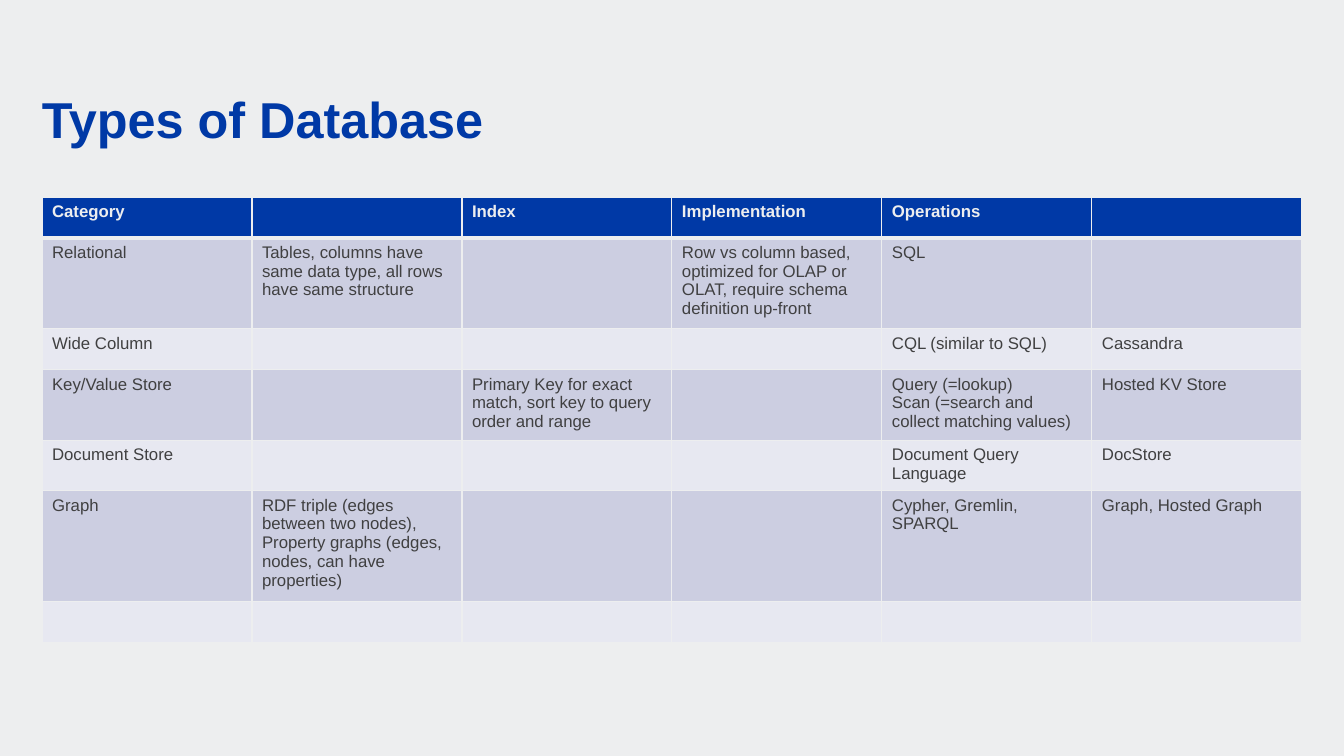
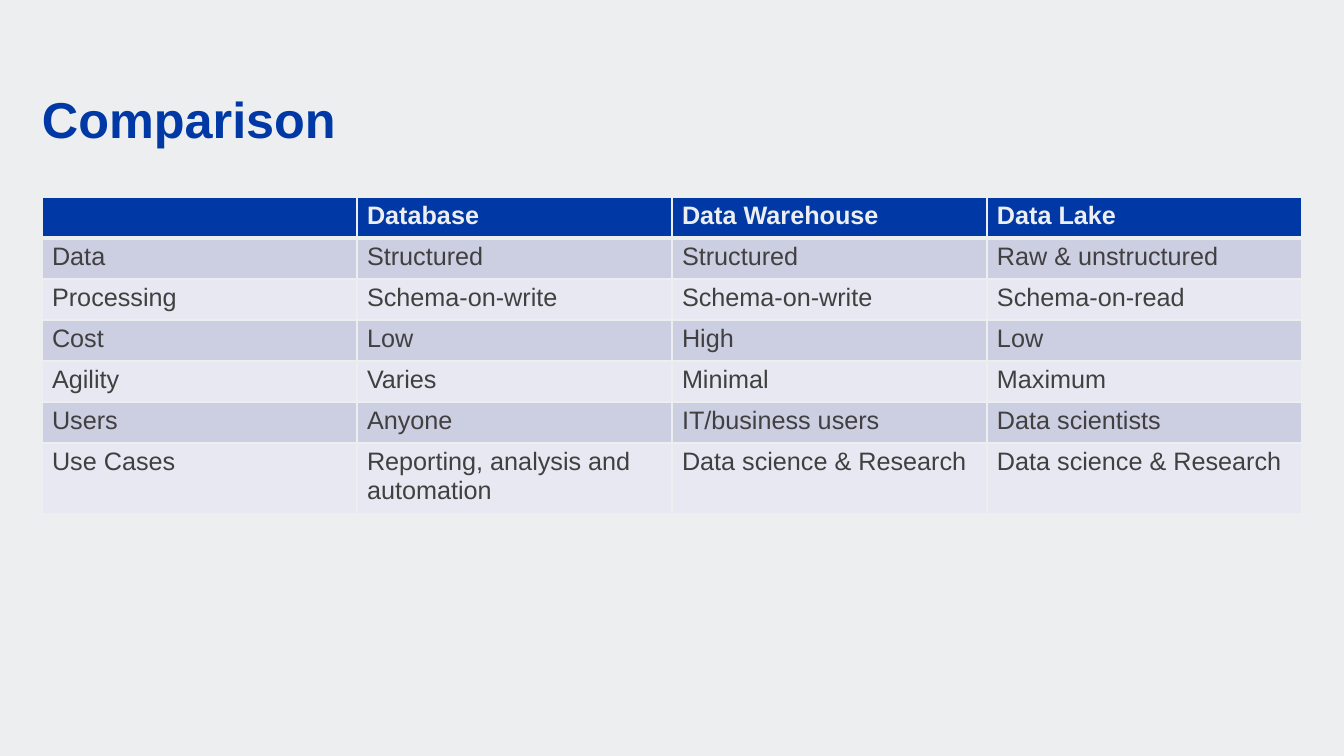
"""Build two table slides: types of database, and a comparison of data stores."""
from lxml import etree
from pptx import Presentation
from pptx.dml.color import RGBColor
from pptx.enum.text import MSO_ANCHOR
from pptx.oxml.ns import qn
from pptx.util import Pt

SLIDES = [
    {
        "title": "Types of Database",
        "size": 12,
        "rows": [
            ["Category", "", "Index", "Implementation", "Operations", ""],
            ["Relational",
             "Tables, columns have same data type, all rows have same structure",
             "",
             "Row vs column based, optimized for OLAP or OLAT, require schema definition up-front",
             "SQL", ""],
            ["Wide Column", "", "", "", "CQL (similar to SQL)", "Cassandra"],
            ["Key/Value Store", "",
             "Primary Key for exact match, sort key to query order and range", "",
             "Query (=lookup)\nScan (=search and collect matching values)",
             "Hosted KV Store"],
            ["Document Store", "", "", "", "Document Query Language", "DocStore"],
            ["Graph",
             "RDF triple (edges between two nodes), Property graphs (edges, nodes, "
             "can have properties)",
             "", "", "Cypher, Gremlin, SPARQL", "Graph, Hosted Graph"],
            ["", "", "", "", "", ""],
        ],
    },
    {
        "title": "Comparison",
        "size": 18,
        "rows": [
            ["", "Database", "Data Warehouse", "Data Lake"],
            ["Data", "Structured", "Structured", "Raw & unstructured"],
            ["Processing", "Schema-on-write", "Schema-on-write", "Schema-on-read"],
            ["Cost", "Low", "High", "Low"],
            ["Agility", "Varies", "Minimal", "Maximum"],
            ["Users", "Anyone", "IT/business users", "Data scientists"],
            ["Use Cases", "Reporting, analysis and automation",
             "Data science & Research", "Data science & Research"],
        ],
    },
]

PAPER = RGBColor(0xED, 0xEE, 0xEF)
BLUE = RGBColor(0x00, 0x39, 0xA6)
INK = RGBColor(0x40, 0x40, 0x41)
DARK_BAND = RGBColor(0xCC, 0xCE, 0xE1)
LIGHT_BAND = RGBColor(0xE7, 0xE8, 0xF1)
BANDS = (LIGHT_BAND, DARK_BAND)
BOTTOM = MSO_ANCHOR.BOTTOM

FONT = "Arial"
TITLE_FORMAT = {"size": Pt(36), "bold": True}
EMU_PER_INCH, PX_PER_INCH = 914400, 100.8
SLIDE_WIDTH, SLIDE_HEIGHT = 1344, 756
LEFT, CONTENT_WIDTH = 42, 1260
TITLE_TOP, TITLE_HEIGHT = 94, 55
TABLE_TOP, ROW_HEIGHT = 197, 41
THIN, THICK = Pt(1), Pt(3)


def px(length):
    return round(length * EMU_PER_INCH / PX_PER_INCH)


def style_text(text_frame, color, font_format):
    for paragraph in text_frame.paragraphs:
        for run in paragraph.runs:
            run.font.name = FONT
            run.font.color.rgb = color
            for name, value in font_format.items():
                setattr(run.font, name, value)


def set_borders(cell, top, bottom):
    properties = cell._tc.get_or_add_tcPr()
    for side, width in (("L", THIN), ("R", THIN), ("T", top), ("B", bottom)):
        line = etree.SubElement(properties, qn(f"a:ln{side}"), w=str(width))
        fill = etree.SubElement(line, qn("a:solidFill"))
        etree.SubElement(fill, qn("a:srgbClr"), val=str(PAPER))


def add_title(slide, title):
    box = slide.shapes.add_textbox(px(LEFT), px(TITLE_TOP), px(CONTENT_WIDTH), px(TITLE_HEIGHT))
    text_frame = box.text_frame
    frame_format = {"word_wrap": True, "vertical_anchor": BOTTOM, "margin_left": 0,
                    "margin_top": 0, "margin_right": 0, "margin_bottom": 0}
    for name, value in frame_format.items():
        setattr(text_frame, name, value)
    text_frame.text = title
    text_frame.paragraphs[0].line_spacing = 0.9
    style_text(text_frame, BLUE, TITLE_FORMAT)


def add_table(slide, rows, size):
    column_count = len(rows[0])
    table = slide.shapes.add_table(
        len(rows), column_count, px(LEFT), px(TABLE_TOP),
        px(CONTENT_WIDTH), px(ROW_HEIGHT * len(rows))).table
    for column in table.columns:
        column.width = px(CONTENT_WIDTH / column_count)
    for row_index, texts in enumerate(rows):
        table.rows[row_index].height = px(ROW_HEIGHT)
        is_header = row_index == 0
        for column_index, text in enumerate(texts):
            cell = table.cell(row_index, column_index)
            set_borders(cell, THICK if row_index == 1 else THIN, THICK if is_header else THIN)
            cell.fill.solid()
            cell.fill.fore_color.rgb = BLUE if is_header else BANDS[row_index % 2]
            cell.text = text
            style_text(cell.text_frame, PAPER if is_header else INK,
                       {"size": Pt(size), "bold": is_header})


def main():
    presentation = Presentation()
    presentation.slide_width = px(SLIDE_WIDTH)
    presentation.slide_height = px(SLIDE_HEIGHT)
    background = presentation.slide_master.background.fill
    background.solid()
    background.fore_color.rgb = PAPER
    for content in SLIDES:
        slide = presentation.slides.add_slide(presentation.slide_layouts[6])
        add_title(slide, content["title"])
        add_table(slide, content["rows"], content["size"])
    presentation.save("out.pptx")


if __name__ == "__main__":
    main()
